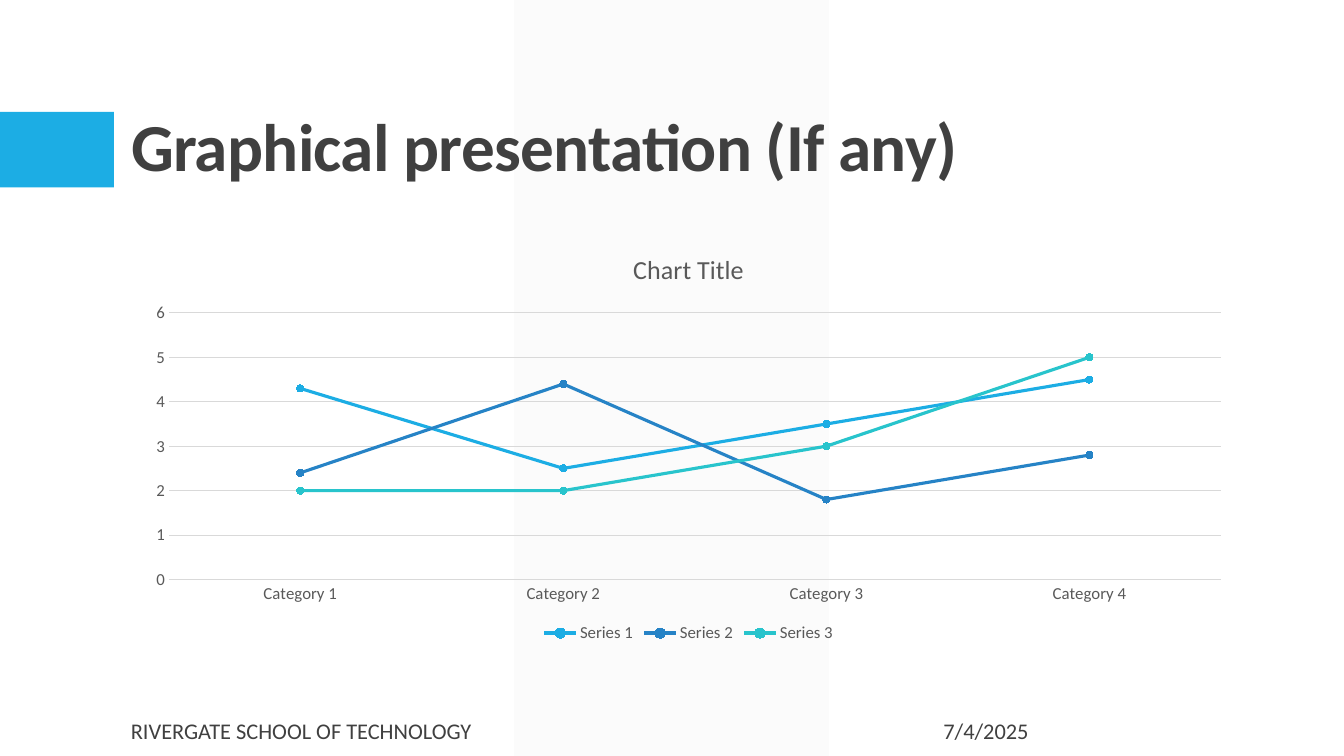
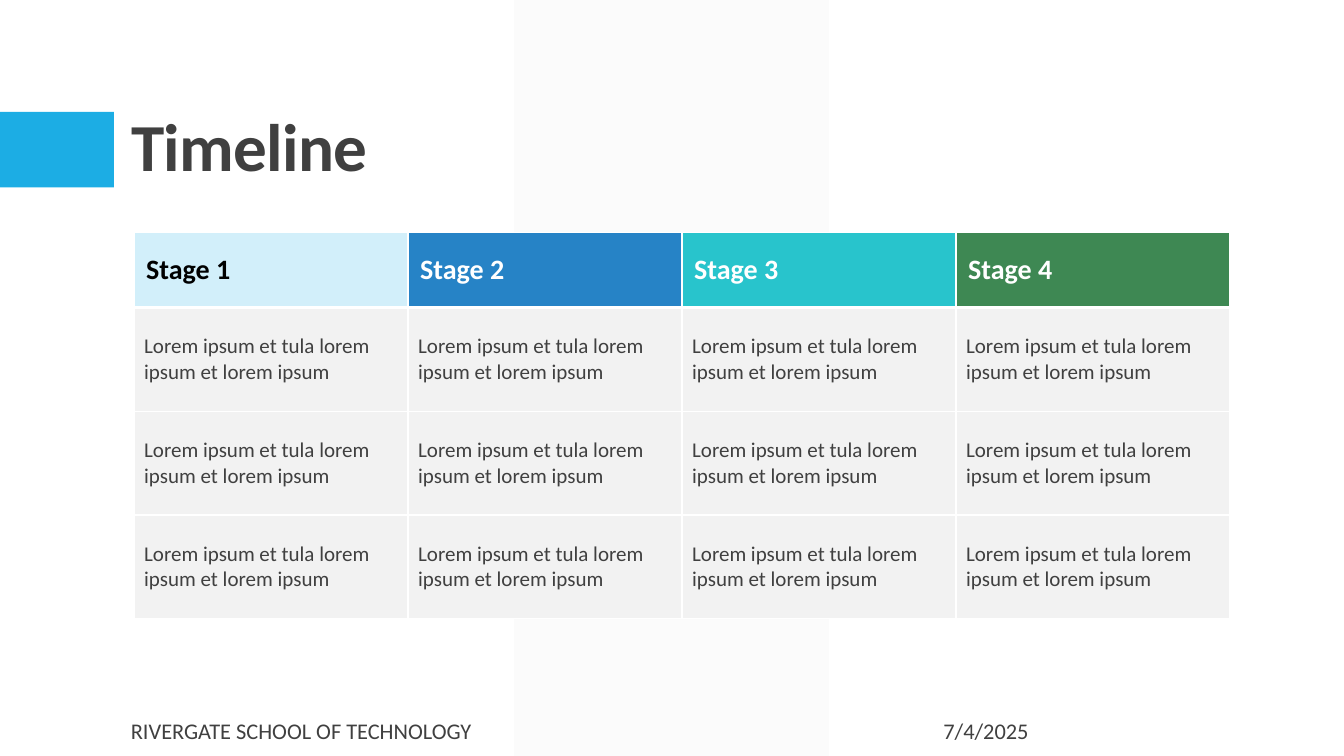
from lxml import etree
from pptx import Presentation
from pptx.chart.data import CategoryChartData
from pptx.dml.color import RGBColor
from pptx.enum.chart import XL_CHART_TYPE, XL_LEGEND_POSITION, XL_MARKER_STYLE, XL_TICK_MARK
from pptx.enum.shapes import MSO_SHAPE
from pptx.enum.text import MSO_ANCHOR, MSO_AUTO_SIZE, PP_ALIGN
from pptx.oxml.ns import qn
from pptx.util import Inches, Pt

LINE_MARKERS = XL_CHART_TYPE.LINE_MARKERS
LEGEND_BOTTOM = XL_LEGEND_POSITION.BOTTOM
CIRCLE = XL_MARKER_STYLE.CIRCLE
NO_TICK = XL_TICK_MARK.NONE
RECTANGLE, PARALLELOGRAM = MSO_SHAPE.RECTANGLE, MSO_SHAPE.PARALLELOGRAM
MIDDLE, BOTTOM = MSO_ANCHOR.MIDDLE, MSO_ANCHOR.BOTTOM
NO_AUTOFIT = MSO_AUTO_SIZE.NONE
LEFT, RIGHT = PP_ALIGN.LEFT, PP_ALIGN.RIGHT

# Palette and type
SKY = RGBColor(0x1C, 0xAD, 0xE4)
BLUE = RGBColor(0x26, 0x83, 0xC6)
TEAL = RGBColor(0x28, 0xC4, 0xCC)
GREEN = RGBColor(0x3E, 0x88, 0x53)
PALE_SKY = RGBColor(0xD2, 0xEF, 0xFA)
PALE_GREY = RGBColor(0xF2, 0xF2, 0xF2)
GRID_GREY = RGBColor(0xD9, 0xD9, 0xD9)
MID_GREY = RGBColor(0x59, 0x59, 0x59)
DARK_GREY = RGBColor(0x40, 0x40, 0x40)
BLACK = RGBColor(0x00, 0x00, 0x00)
WHITE = RGBColor(0xFF, 0xFF, 0xFF)
FONT = "Calibri"

# Regions: left, top, width, height in inches
SLIDE_W, SLIDE_H = 13.33, 7.5
BAND_BOX = (5.1, 0, 3.12, SLIDE_H)
TAB_BOX = (0, 1.11, 1.13, 0.75)
TITLE_BOX = (1.2, 0.31, 11, 1.59)
CHART_BOX = (1.33, 2.31, 11, 4.11)
TABLE_BOX = (1.33, 2.31, 10.87, 3.83)
FOOTER_BOX = (1.2, 7.05, 5.3, 0.4)
DATE_BOX = (7.47, 7.05, 2.83, 0.4)

HEADER_SHARE = 0.74 / 3.83
STAGES = [("Stage 1", PALE_SKY, BLACK), ("Stage 2", BLUE, WHITE),
          ("Stage 3", TEAL, WHITE), ("Stage 4", GREEN, WHITE)]
STAGE_TEXT = "Lorem ipsum et tula lorem ipsum et lorem ipsum"
STAGE_ROWS = 3

CATEGORIES = ["Category 1", "Category 2", "Category 3", "Category 4"]
SERIES = [("Series 1", (4.3, 2.5, 3.5, 4.5), SKY),
          ("Series 2", (2.4, 4.4, 1.8, 2.8), BLUE),
          ("Series 3", (2, 2, 3, 5), TEAL)]


def inches(box):
    return [Inches(v) for v in box]


def style_font(font, size, color, bold=False):
    font.name, font.size, font.bold = FONT, Pt(size), bold
    font.color.rgb = color


def write(tf, text, size=16, color=DARK_GREY, bold=False, align=LEFT,
          line_spacing=None, tracking=None):
    p = tf.paragraphs[0]
    p.alignment, p.line_spacing = align, line_spacing
    r = p.add_run()
    r.text = text
    style_font(r.font, size, color, bold)
    if tracking is not None:
        r.font._element.set("spc", str(round(tracking * 100)))


def add_block(slide, kind, box, color, opacity=None):
    sp = slide.shapes.add_shape(kind, *inches(box))
    sp.shadow.inherit = False
    sp.line.fill.background()
    sp.fill.solid()
    sp.fill.fore_color.rgb = color
    if opacity is not None:
        clr = sp.element.spPr.find(".//" + qn("a:srgbClr"))
        etree.SubElement(clr, qn("a:alpha")).set("val", str(opacity * 1000))
    return sp


def decorate_layout(layout, slide):
    """Move the band and the title tab to the layout, behind every slide."""
    band = add_block(slide, PARALLELOGRAM, BAND_BOX, PALE_GREY, opacity=30)
    band.adjustments[0] = 0
    tab = add_block(slide, RECTANGLE, TAB_BOX, SKY)
    for sp in (tab, band):
        layout.shapes.element.insert(2, sp.element)


def add_title(slide, text):
    sp = slide.shapes.title
    sp.left, sp.top, sp.width, sp.height = inches(TITLE_BOX)
    tf = sp.text_frame
    tf.vertical_anchor, tf.auto_size = BOTTOM, NO_AUTOFIT
    write(tf, text, size=48, bold=True, line_spacing=0.9, tracking=-0.5)


def add_footer(slide):
    for text, box, align in (("7/4/2025", DATE_BOX, RIGHT),
                             ("RIVERGATE SCHOOL OF TECHNOLOGY", FOOTER_BOX, LEFT)):
        tf = slide.shapes.add_textbox(*inches(box)).text_frame
        tf.word_wrap, tf.vertical_anchor = True, MIDDLE
        write(tf, text, align=align)


def style_line(line, color, width):
    line.color.rgb = color
    line.width = Pt(width)


def add_line_chart(slide, box):
    data = CategoryChartData()
    data.categories = CATEGORIES
    for name, values, _ in SERIES:
        data.add_series(name, values)
    chart = slide.shapes.add_chart(LINE_MARKERS, *inches(box), data).chart
    style_font(chart.font, 12, MID_GREY)

    # Title and legend
    chart.has_title = True
    write(chart.chart_title.text_frame, "Chart Title", size=18.6, color=MID_GREY)
    chart.chart_title.include_in_layout = False
    chart.has_legend = True
    chart.legend.position = LEGEND_BOTTOM
    chart.legend.include_in_layout = False
    style_font(chart.legend.font, 12, MID_GREY)

    # Axes
    cat, val = chart.category_axis, chart.value_axis
    for axis in (cat, val):
        axis.major_tick_mark = axis.minor_tick_mark = NO_TICK
        style_font(axis.tick_labels.font, 12, MID_GREY)
    style_line(cat.format.line, GRID_GREY, 0.75)
    val.format.line.fill.background()
    style_line(val.major_gridlines.format.line, GRID_GREY, 0.75)
    val.minimum_scale, val.maximum_scale, val.major_unit = 0, 6, 1

    # Series
    plot = chart.plots[0]
    plot.vary_by_categories = False
    for series, (_, _, color) in zip(plot.series, SERIES):
        series.smooth = False
        style_line(series.format.line, color, 2.25)
        marker = series.marker
        marker.style, marker.size = CIRCLE, 5
        marker.format.fill.solid()
        marker.format.fill.fore_color.rgb = color
        style_line(marker.format.line, color, 0.75)


def set_borders(cell, top=1, bottom=1):
    tc_pr = cell._tc.get_or_add_tcPr()
    for side, width in (("L", 1), ("R", 1), ("T", top), ("B", bottom)):
        ln = etree.SubElement(tc_pr, qn("a:ln" + side), w=str(Pt(width)))
        fill = etree.SubElement(ln, qn("a:solidFill"))
        etree.SubElement(fill, qn("a:srgbClr"), val=str(WHITE))


def fill_cell(cell, text, fill, top=1, bottom=1, **text_format):
    set_borders(cell, top, bottom)
    cell.fill.solid()
    cell.fill.fore_color.rgb = fill
    cell.vertical_anchor = MIDDLE
    write(cell.text_frame, text, **text_format)


def add_stage_table(slide, box):
    width, height = box[2:]
    table = slide.shapes.add_table(STAGE_ROWS + 1, len(STAGES), *inches(box)).table
    table.horz_banding = False
    header_h = height * HEADER_SHARE
    for i, row in enumerate(table.rows):
        row.height = Inches((height - header_h) / STAGE_ROWS if i else header_h)
    for col, (stage, fill, color) in enumerate(STAGES):
        table.columns[col].width = Inches(width / len(STAGES))
        head = table.cell(0, col)
        head.margin_left = head.margin_right = Inches(0.12)
        head.margin_top = head.margin_bottom = Inches(0.06)
        fill_cell(head, stage, fill, bottom=3, size=20, color=color, bold=True)
        for row in range(1, STAGE_ROWS + 1):
            fill_cell(table.cell(row, col), STAGE_TEXT, PALE_GREY,
                      top=3 if row == 1 else 1, size=15)


def main():
    prs = Presentation()
    prs.slide_width, prs.slide_height = Inches(SLIDE_W), Inches(SLIDE_H)
    layout = prs.slide_layouts.get_by_name("Title Only")
    pages = [("Graphical presentation (If any)", add_line_chart, CHART_BOX),
             ("Timeline", add_stage_table, TABLE_BOX)]
    for i, (title, add_content, box) in enumerate(pages):
        slide = prs.slides.add_slide(layout)
        if i == 0:
            decorate_layout(layout, slide)
        add_title(slide, title)
        add_content(slide, box)
        add_footer(slide)
    prs.save("out.pptx")


if __name__ == "__main__":
    main()
